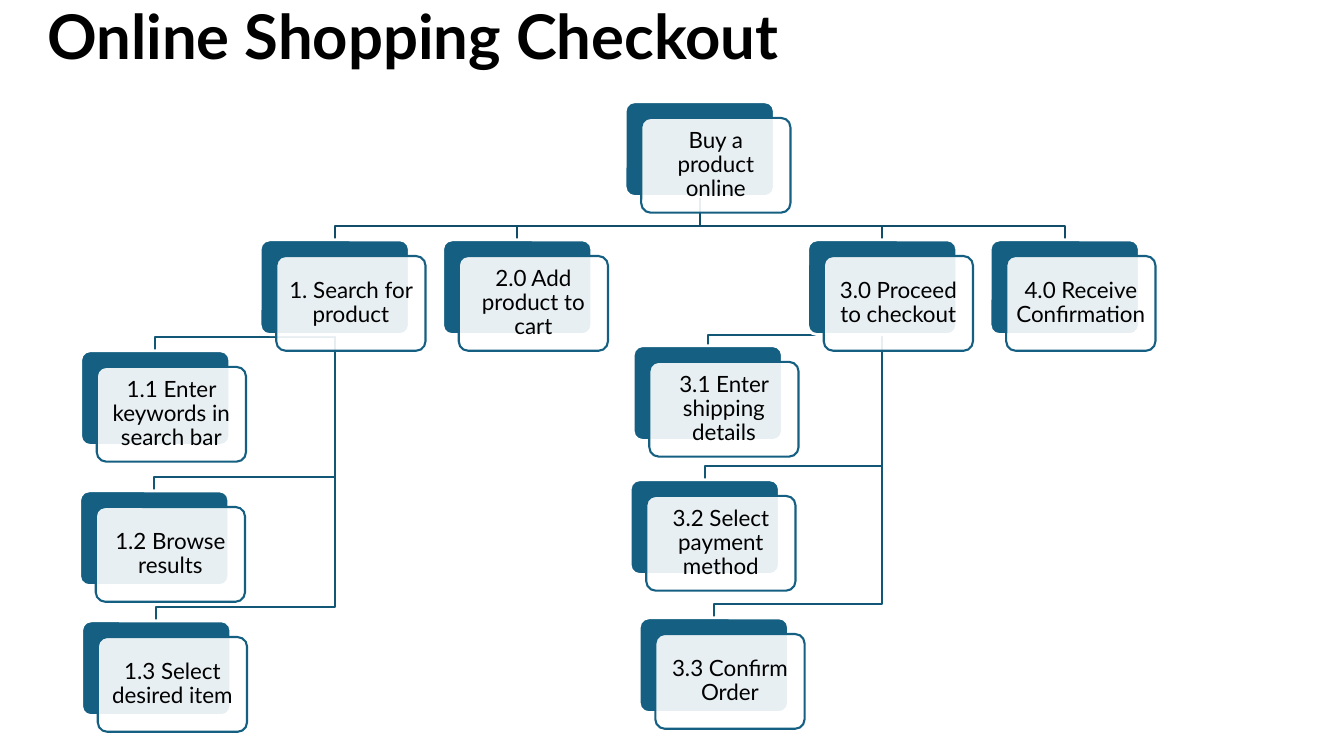
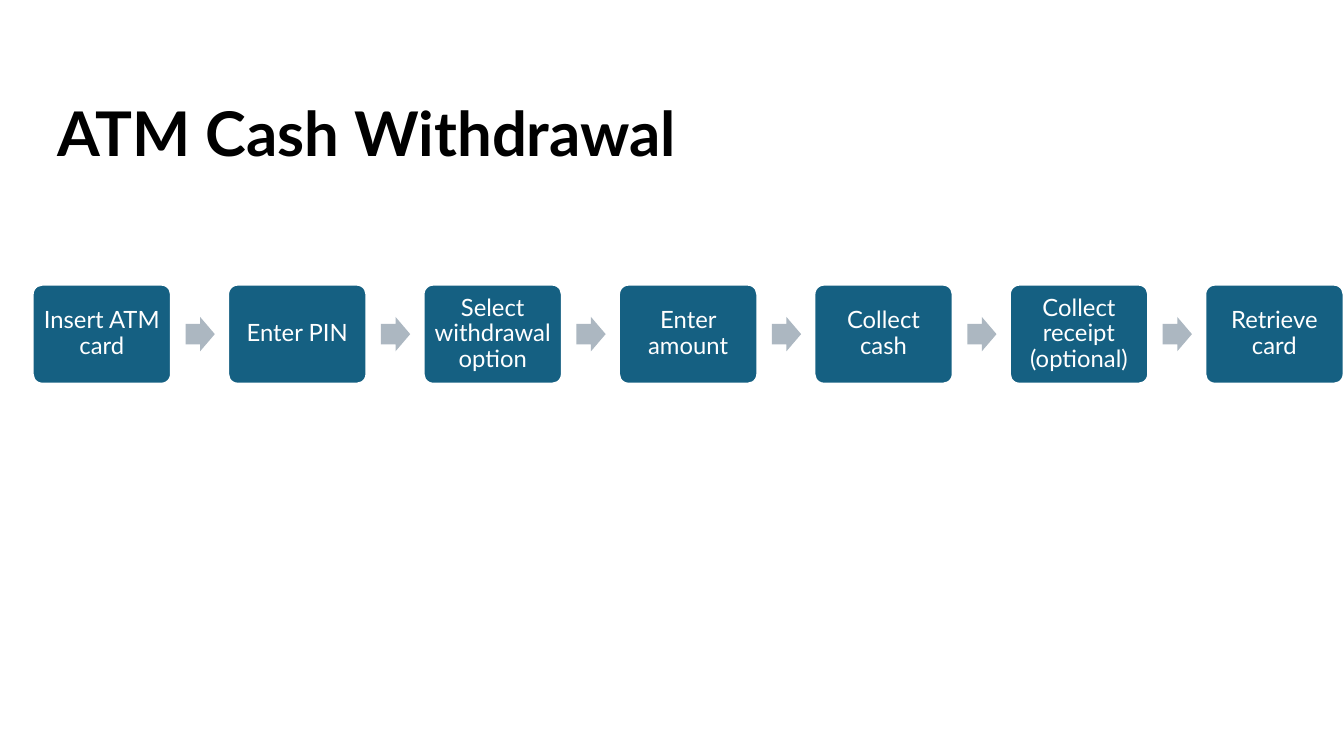
from dataclasses import dataclass

from lxml import etree
from pptx import Presentation
from pptx.dml.color import RGBColor
from pptx.enum.shapes import MSO_SHAPE
from pptx.enum.text import MSO_ANCHOR, PP_ALIGN
from pptx.oxml.ns import qn
from pptx.shapes.autoshape import Shape
from pptx.slide import Slide
from pptx.util import Inches, Pt

ROUND = MSO_SHAPE.ROUNDED_RECTANGLE
ARROW = MSO_SHAPE.RIGHT_ARROW
MIDDLE = MSO_ANCHOR.MIDDLE
LEFT = PP_ALIGN.LEFT
CENTER = PP_ALIGN.CENTER

BLACK = RGBColor(0x00, 0x00, 0x00)
WHITE = RGBColor(0xFF, 0xFF, 0xFF)
TEAL = RGBColor(0x15, 0x60, 0x82)
NAVY = RGBColor(0x11, 0x4D, 0x68)
SLATE = RGBColor(0x13, 0x57, 0x76)
GREY = RGBColor(0xAC, 0xB7, 0xC1)

FONT = "Lato"
PAD = 0.07

# Task tree
NODE_W, NODE_H = 1.48, 0.94
SHIFT = 0.16
DROP = 0.14
ROW_X, ROW_Y, ROW_GAP = 2.58, 2.38, 1.81

# Process row
STEP_W, STEP_H = 1.38, 0.99
STEP_X, LAST_X, STEP_Y = 0.32, 11.95, 2.82
ARROW_W, ARROW_H, ARROW_DX = 0.29, 0.34, 1.52


@dataclass(frozen=True)
class Node:
    text: str
    left: float
    top: float
    kids: tuple["Node", ...] = ()

    @property
    def mid(self) -> float:
        return self.left + NODE_W / 2


def main_task(text: str, slot: int, *kids: Node) -> Node:
    return Node(text, ROW_X + slot * ROW_GAP, ROW_Y, kids)


TREE = Node("Buy a product online", ROW_X + 2 * ROW_GAP, 1.01, (
    main_task(
        "1. Search for product", 0,
        Node("1.1 Enter keywords in search bar", 0.8, 3.48),
        Node("1.2 Browse results", 0.79, 4.87),
        Node("1.3 Select desired item", 0.81, 6.16),
    ),
    main_task("2.0 Add product to cart", 1),
    main_task(
        "3.0 Proceed to checkout", 3,
        Node("3.1 Enter shipping details", 6.28, 3.43),
        Node("3.2 Select payment method", 6.25, 4.76),
        Node("3.3 Confirm Order", 6.34, 6.13),
    ),
    main_task("4.0 Receive Confirmation", 4),
))

STEPS = (
    "Insert ATM card",
    "Enter PIN",
    "Select withdrawal option",
    "Enter amount",
    "Collect cash",
    "Collect receipt (optional)",
    "Retrieve card",
)


def write(shape: Shape, text: str, size: float, color: RGBColor,
          align: PP_ALIGN = CENTER, bold: bool = False) -> None:
    frame = shape.text_frame
    frame.word_wrap = True
    frame.vertical_anchor = MIDDLE
    para = frame.paragraphs[0]
    para.text = text
    para.alignment = align
    para.line_spacing = 0.9
    font = para.font
    font.name, font.size, font.bold = FONT, Pt(size), bold
    font.color.rgb = color


def add_title(slide: Slide, text: str, left: float, top: float) -> None:
    box = slide.shapes.add_textbox(
        Inches(left), Inches(top), Inches(11.5), Inches(1.45))
    write(box, text, 44, BLACK, LEFT, True)


def add_card(slide: Slide, left: float, top: float, width: float,
             height: float, fill: RGBColor = TEAL, line: RGBColor = WHITE,
             weight: float = 2) -> Shape:
    card = slide.shapes.add_shape(
        ROUND, Inches(left), Inches(top), Inches(width), Inches(height))
    card.shadow.inherit = False
    card.adjustments[0] = 0.1
    card.fill.solid()
    card.fill.fore_color.rgb = fill
    card.line.color.rgb = line
    card.line.width = Pt(weight)
    frame = card.text_frame
    frame.margin_left = frame.margin_right = Inches(PAD)
    frame.margin_top = frame.margin_bottom = Inches(PAD)
    return card


def add_links(slide: Slide, node: Node, color: RGBColor) -> None:
    """Draw bent lines from a node to its children, level by level."""
    base = node.top + NODE_H
    for kid in node.kids:
        bend = max(base, kid.top - DROP)
        points = ((node.mid, bend), (kid.mid, bend), (kid.mid, kid.top))
        outline = slide.shapes.build_freeform(Inches(node.mid), Inches(base))
        outline.add_line_segments(
            [(Inches(x), Inches(y)) for x, y in points], close=False)
        link = outline.convert_to_shape()
        link.shadow.inherit = False
        link.fill.background()
        link.line.color.rgb = color
        link.line.width = Pt(1.5)
        add_links(slide, kid, SLATE)


def add_nodes(slide: Slide, node: Node) -> None:
    add_card(slide, node.left, node.top, NODE_W, NODE_H)
    front = add_card(slide, node.left + SHIFT, node.top + SHIFT,
                     NODE_W, NODE_H, WHITE, TEAL, 1.5)
    color = front.element.spPr.find(qn("a:solidFill"))[0]
    etree.SubElement(color, qn("a:alpha"), val="90000")
    write(front, node.text, 16, BLACK)
    for kid in node.kids:
        add_nodes(slide, kid)


def add_steps(slide: Slide) -> None:
    gap = (LAST_X - STEP_X) / (len(STEPS) - 1)
    for index, text in enumerate(STEPS):
        left = STEP_X + index * gap
        if index:
            add_arrow(slide, left - gap + ARROW_DX)
        card = add_card(slide, left, STEP_Y, STEP_W, STEP_H)
        write(card, text, 17, WHITE)


def add_arrow(slide: Slide, left: float) -> None:
    top = STEP_Y + (STEP_H - ARROW_H) / 2
    arrow = slide.shapes.add_shape(
        ARROW, Inches(left), Inches(top), Inches(ARROW_W), Inches(ARROW_H))
    arrow.shadow.inherit = False
    arrow.adjustments[0] = 0.6
    arrow.adjustments[1] = 0.5
    arrow.fill.solid()
    arrow.fill.fore_color.rgb = GREY
    arrow.line.fill.background()


def main() -> None:
    deck = Presentation()
    deck.slide_width, deck.slide_height = Inches(13.33), Inches(7.5)
    blank = deck.slide_layouts[6]

    shop = deck.slides.add_slide(blank)
    add_title(shop, "Online Shopping Checkout", 0.37, -0.33)
    add_links(shop, TREE, NAVY)
    add_nodes(shop, TREE)

    cash = deck.slides.add_slide(blank)
    add_title(cash, "ATM Cash Withdrawal", 0.47, 0.63)
    add_steps(cash)

    deck.save("out.pptx")


if __name__ == "__main__":
    main()
